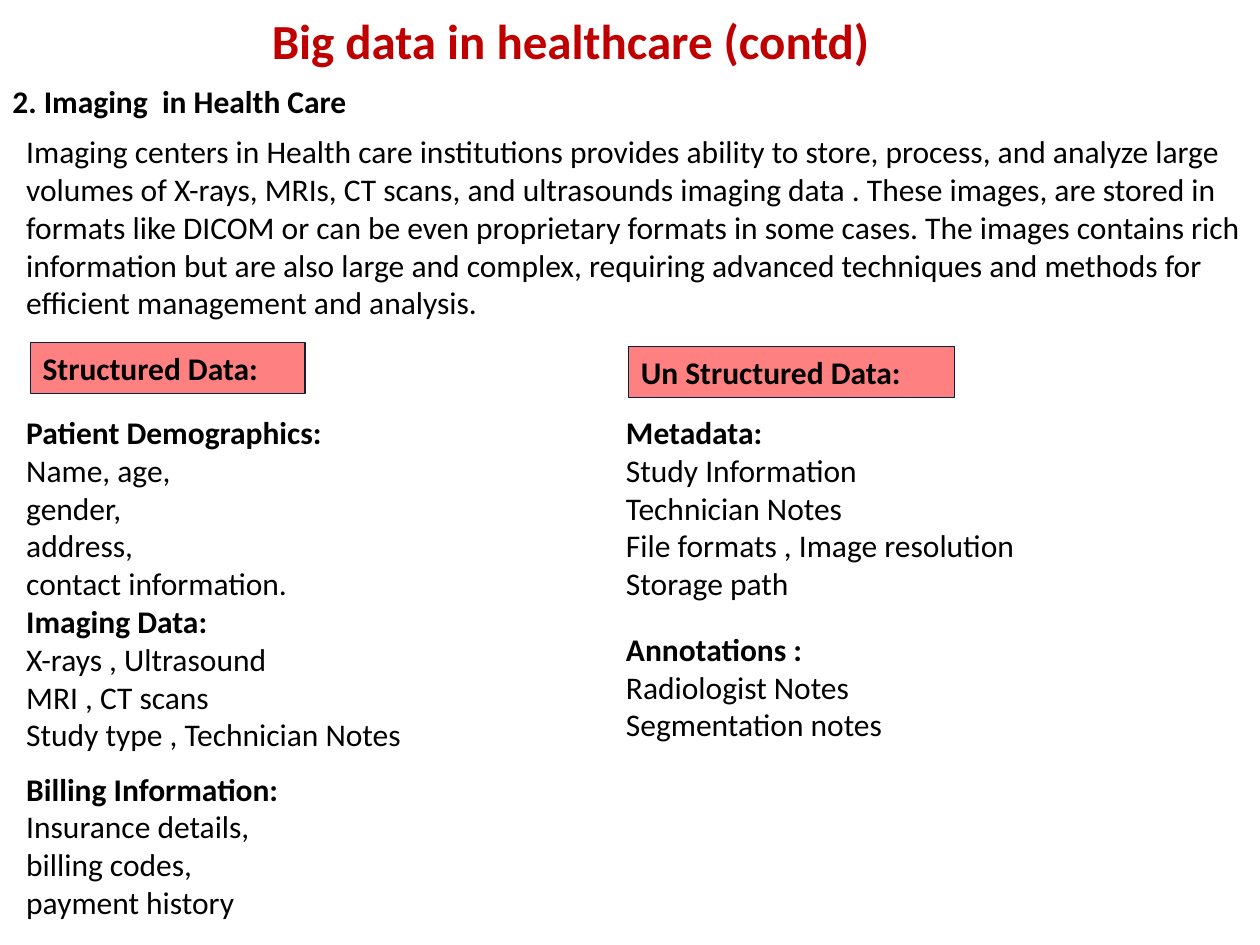
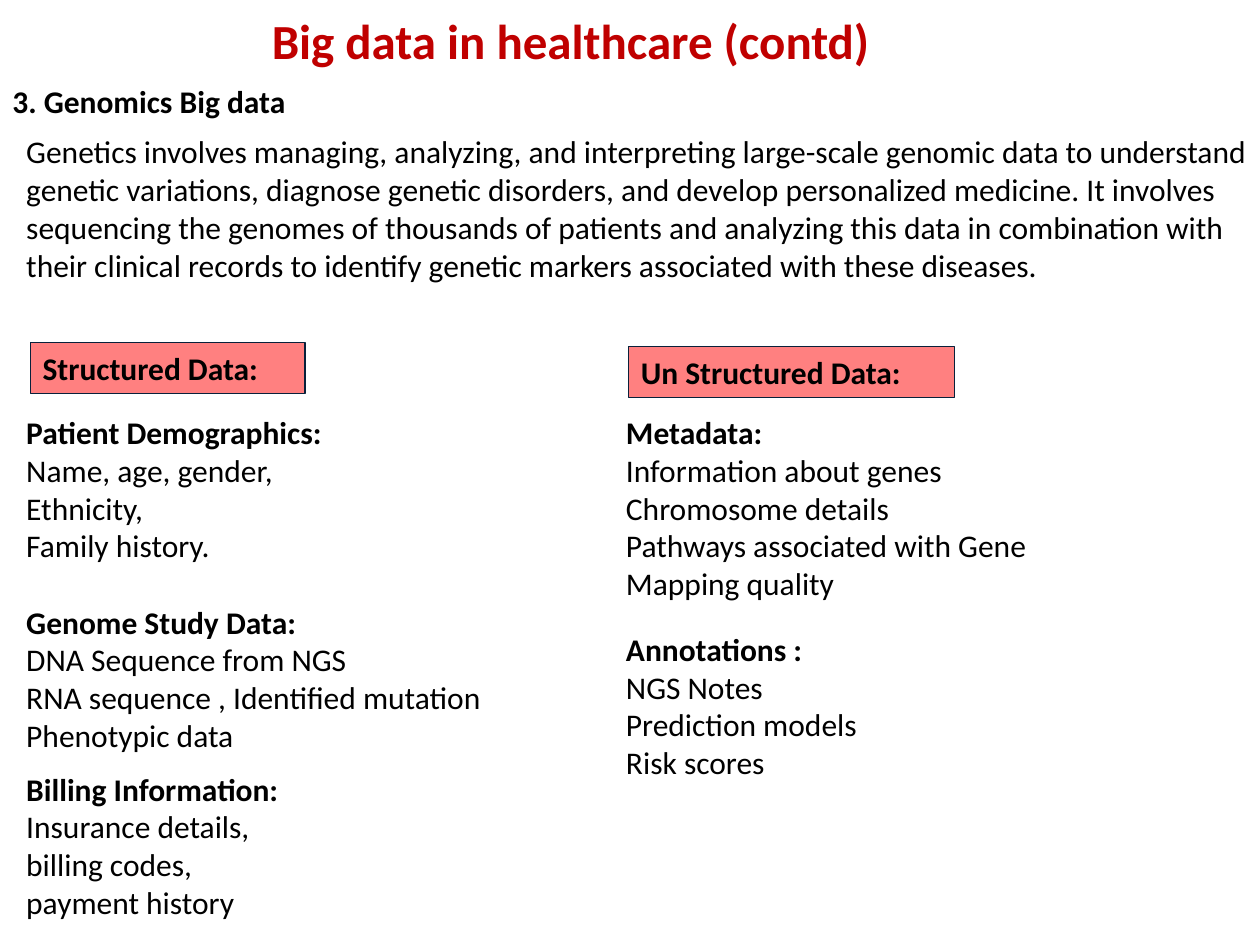
from pptx import Presentation
from pptx.dml.color import RGBColor
from pptx.enum import shapes, text
from pptx.util import Cm, Pt

FONT = "Calibri"
BLACK, RED, PINK, NAVY = "000000", "C00000", "FF8080", "09213B"
ROW, PAD = 0.77, 0.25   # height of a text row and of both margins, in cm
LINE = 22               # height of a text row, in points

BILLING = ["Billing Information:", "Insurance details,", "billing codes,",
           "payment history"]

TOPICS = [
    {
        "head": "2. Imaging  in Health Care",
        "intro": "Imaging centers in Health care institutions provides ability "
                 "to store, process, and analyze large volumes of X-rays, MRIs, "
                 "CT scans, and ultrasounds imaging data . These images, are "
                 "stored in formats like DICOM or can be even proprietary "
                 "formats in some cases. The images contains rich information "
                 "but are also large and complex, requiring advanced techniques "
                 "and methods for efficient management and analysis.",
        "records": ["Patient Demographics:", "Name, age,", "gender,", "address,",
                    "contact information.", "Imaging Data:",
                    "X-rays , Ultrasound", "MRI , CT scans",
                    "Study type , Technician Notes"],
        "meta": ["Metadata:", "Study Information", "Technician Notes",
                 "File formats , Image resolution", "Storage path"],
        "notes": ["Annotations :", "Radiologist Notes", "Segmentation notes"],
    },
    {
        "head": "3. Genomics Big data",
        "intro": "Genetics involves managing, analyzing, and interpreting "
                 "large-scale genomic data to understand genetic variations, "
                 "diagnose genetic disorders, and develop personalized medicine. "
                 "It involves sequencing the genomes of thousands of patients "
                 "and analyzing this data in combination with their clinical "
                 "records to identify genetic markers associated with these "
                 "diseases.",
        "records": ["Patient Demographics:", "Name, age, gender,", "Ethnicity,",
                    "Family history.", "Genome Study Data:",
                    "DNA Sequence from NGS",
                    "RNA sequence , Identified mutation", "Phenotypic data"],
        "meta": ["Metadata:", "Information about genes", "Chromosome details",
                 "Pathways associated with Gene", "Mapping quality"],
        "notes": ["Annotations :", "NGS Notes", "Prediction models",
                  "Risk scores"],
    },
]


def color(code):
    return RGBColor.from_string(code)


def style(para, bold=False, size=18, ink=BLACK):
    para.alignment = text.PP_ALIGN.LEFT
    font = para.font
    font.name, font.size, font.bold = FONT, Pt(size), bold
    font.color.rgb = color(ink)


def add_text(slide, x, y, width, rows, lines):
    """Add a text box of some rows and return its paragraphs."""
    box = slide.shapes.add_textbox(Cm(x), Cm(y), Cm(width), Cm(rows * ROW + PAD))
    frame = box.text_frame
    frame.word_wrap = True
    frame.text = "\n".join(lines)
    return frame.paragraphs


def add_list(slide, x, y, width, rows, lines):
    """Bold the headings; spare rows become space above a later heading."""
    paras = add_text(slide, x, y, width, rows, lines)
    for i, para in enumerate(paras):
        is_head = lines[i].endswith(":")
        style(para, bold=is_head)
        if is_head and i:
            para.space_before = Pt(LINE * (rows - len(lines)))


def add_label(slide, x, y, width, words):
    label = slide.shapes.add_shape(shapes.MSO_SHAPE.RECTANGLE,
                                   Cm(x), Cm(y), Cm(width), Cm(1.02))
    label.shadow.inherit = False
    label.fill.solid()
    label.fill.fore_color.rgb = color(PINK)
    label.line.color.rgb = color(NAVY)
    label.line.width = Pt(0.75)
    frame = label.text_frame
    frame.word_wrap = False
    frame.vertical_anchor = text.MSO_ANCHOR.TOP
    frame.text = words
    style(frame.paragraphs[0], bold=True)


def add_header(slide, topic):
    title = add_text(slide, 5.23, 0.08, 14.88, 1.6,
                     ["Big data in healthcare (contd)"])
    style(title[0], bold=True, size=28, ink=RED)
    head = add_text(slide, 0, 1.52, 8.53, 1, [topic["head"]])
    style(head[0], bold=True)
    intro = add_text(slide, 0.28, 2.54, 25.12, 5, [topic["intro"]])
    style(intro[0])


def add_left(slide, x, y, topic):
    add_label(slide, x + 0.33, y, 5.54, "Structured Data:")
    add_list(slide, x, y + 1.29, 11.71, 9, topic["records"])
    add_list(slide, x, y + 8.48, 8.81, 4, BILLING)


def add_right(slide, x, y, topic):
    add_label(slide, x + 0.3, y + 0.08, 6.58, "Un Structured Data:")
    add_list(slide, x, y + 1.29, 11.71, 6, topic["meta"])
    notes = topic["notes"]
    add_list(slide, x, y + 5.66, 11.46, len(notes) + 1, notes)


def main():
    deck = Presentation()
    deck.slide_width, deck.slide_height = Cm(25.4), Cm(19.05)
    for topic in TOPICS:
        slide = deck.slides.add_slide(deck.slide_layouts[6])
        add_header(slide, topic)
        add_left(slide, 0.28, 6.91, topic)
        add_right(slide, 12.37, 6.91, topic)
    deck.save("out.pptx")


if __name__ == "__main__":
    main()
